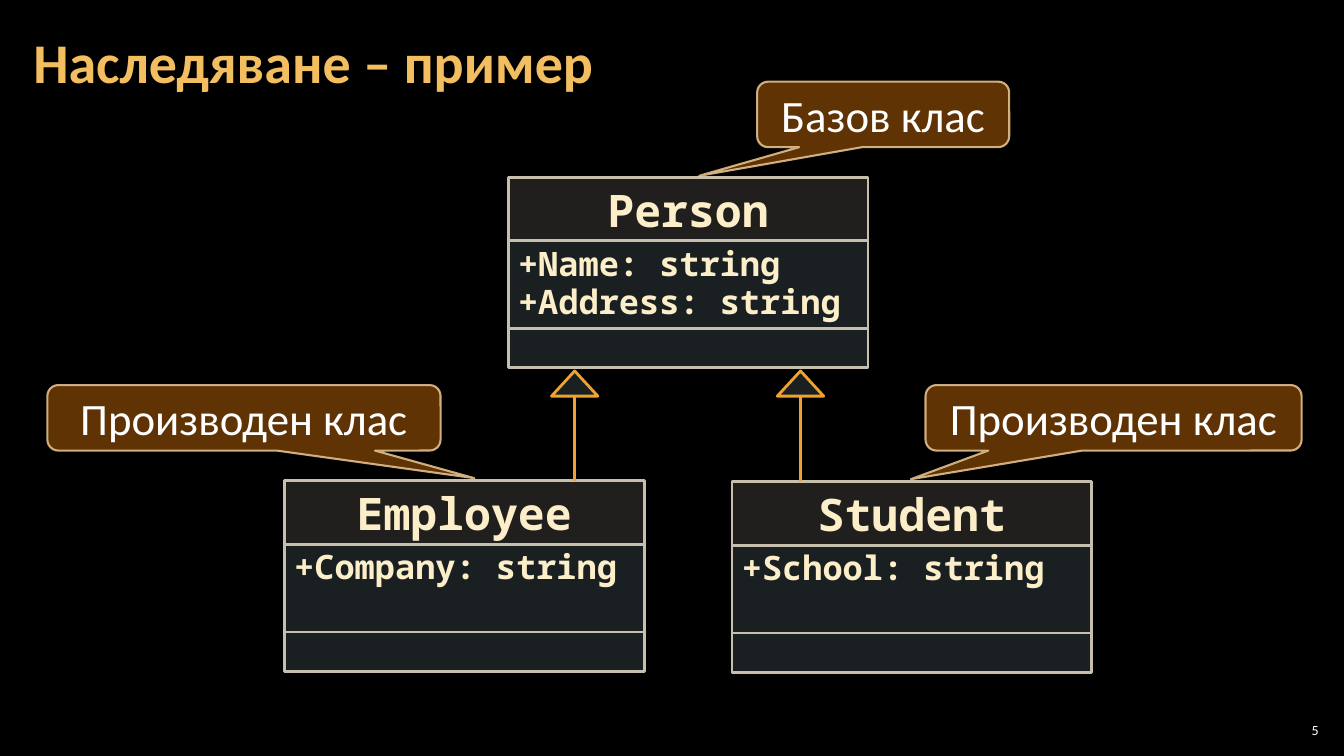
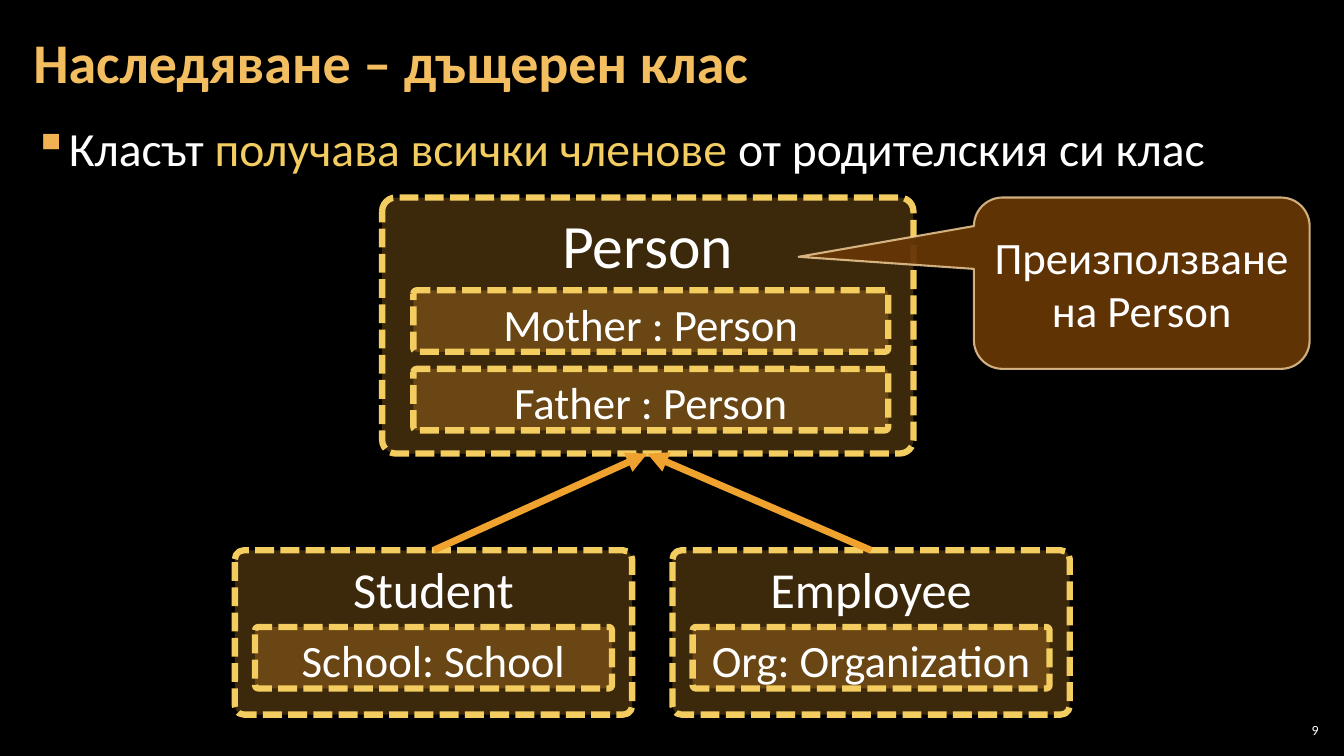
import pptx
import pptx.util
import pptx.dml.color
import pptx.enum.dml
import pptx.enum.shapes
import pptx.enum.text
import pptx.oxml.ns
from lxml import etree

Inches = pptx.util.Inches
Pt = pptx.util.Pt
SHAPES = pptx.enum.shapes.MSO_SHAPE
ALIGN = pptx.enum.text.PP_ALIGN
ANCHOR = pptx.enum.text.MSO_ANCHOR
qn = pptx.oxml.ns.qn

COLORS = {
    "background": "000000",
    "title": "F3BE60",
    "text": "FFFFFF",
    "highlight": "F3CD60",
    "bullet": "F2B254",
    "class_text": "FBEEC9",
    "class_line": "C7BFAC",
    "class_header": "D9D5C7",
    "class_body": "B5DBE5",
    "accent": "F0A22E",
    "callout": "663606",
    "callout_line": "F8D49E",
}
BODY_FONT = "Calibri"
CODE_FONT = "Noto Sans Mono"
CLASS_WIDTH = 3.57
BLOCK_RADIUS = 0.054


def rgb(name):
    return pptx.dml.color.RGBColor.from_string(COLORS[name])


def set_opacity(parent, percent):
    color = parent.find(qn("a:solidFill")).find(qn("a:srgbClr"))
    etree.SubElement(color, qn("a:alpha")).set("val", str(percent * 1000))


def write_text(shape, paragraphs, size=32, color="text", font=BODY_FONT, bold=False,
               align=ALIGN.CENTER, anchor=ANCHOR.MIDDLE, spacing=None, insets=(0.1, 0.05)):
    frame = shape.text_frame
    frame.word_wrap = True
    frame.vertical_anchor = anchor
    frame.margin_left = frame.margin_right = Inches(insets[0])
    frame.margin_top = frame.margin_bottom = Inches(insets[1])
    for index, content in enumerate(paragraphs):
        paragraph = frame.add_paragraph() if index else frame.paragraphs[0]
        paragraph.alignment = align
        if spacing:
            paragraph.line_spacing = spacing
        runs = [(content, color)] if isinstance(content, str) else content
        for text, run_color in runs:
            run = paragraph.add_run()
            run.text = text
            run.font.size = Pt(size)
            run.font.name = font
            run.font.bold = bold
            run.font.color.rgb = rgb(run_color)


def style_shape(shape, fill, opacity, line, width):
    shape.shadow.inherit = False
    shape.fill.solid()
    shape.fill.fore_color.rgb = rgb(fill)
    set_opacity(shape.element.spPr, opacity)
    shape.line.color.rgb = rgb(line)
    shape.line.width = Pt(width)


def add_box(slide, kind, left, top, width, height, fill, opacity, line, line_width):
    shape = slide.shapes.add_shape(kind, Inches(left), Inches(top), Inches(width), Inches(height))
    style_shape(shape, fill, opacity, line, line_width)
    return shape


def add_label(slide, left, top, width, height, paragraphs, **text_format):
    label = slide.shapes.add_textbox(Inches(left), Inches(top), Inches(width), Inches(height))
    write_text(label, paragraphs, **text_format)
    return label


def add_slide(presentation, title, number):
    slide = presentation.slides.add_slide(presentation.slide_layouts[6])
    add_label(slide, 0.21, 0.04, 12.91, 1.21, [title], size=40, color="title", bold=True,
              align=ALIGN.LEFT, spacing=0.9, insets=(0.12, 0.04))
    add_label(slide, 12.65, 7.14, 0.47, 0.21, [number], size=10, align=ALIGN.RIGHT,
              insets=(0.04, 0.04))
    return slide


def add_bullet(slide, runs):
    label = add_label(slide, 0.21, 1.08, 12.91, 0.85, [runs], size=34, align=ALIGN.LEFT,
                      anchor=ANCHOR.TOP, spacing=1.1, insets=(0.12, 0.04))
    paragraph = label.text_frame.paragraphs[0]
    paragraph.space_before = paragraph.space_after = Pt(6)
    properties = paragraph.runs[0].font._element.getparent().getparent().pPr
    properties.set("marL", str(Inches(0.33)))
    properties.set("indent", str(-Inches(0.33)))
    color = etree.SubElement(properties, qn("a:buClr"))
    etree.SubElement(color, qn("a:srgbClr")).set("val", COLORS["bullet"])
    etree.SubElement(properties, qn("a:buChar")).set("char", "▪")


def add_class(slide, left, top, name, attributes):
    compartments = []
    for height, fill in ((0.63, "class_header"), (0.87, "class_body"), (0.39, "class_body")):
        compartments.append(add_box(slide, SHAPES.RECTANGLE, left, top, CLASS_WIDTH, height,
                                    fill, 15, "class_line", 2))
        top += height
    write_text(compartments[0], [name], color="class_text", font=CODE_FONT, bold=True)
    write_text(compartments[1], attributes, size=24, color="class_text", font=CODE_FONT,
               bold=True, align=ALIGN.LEFT, anchor=ANCHOR.TOP, spacing=0.95)


def add_line(slide, start, end, width, arrow=False):
    connector = slide.shapes.add_connector(pptx.enum.shapes.MSO_CONNECTOR.STRAIGHT,
                                           *(Inches(value) for value in start + end))
    connector.line.color.rgb = rgb("accent")
    connector.line.width = Pt(width)
    properties = connector.element.spPr
    if arrow:
        etree.SubElement(properties.find(qn("a:ln")), qn("a:tailEnd")).set("type", "triangle")
    etree.SubElement(properties, qn("a:effectLst"))


def add_inheritance(slide, x, bottom, tip=3.68):
    base = tip + 0.25
    add_line(slide, (x, base), (x, bottom), 2)
    corners = [(x - 0.23, base), (x + 0.23, base), (x, tip)]
    points = [(Inches(corner_x), Inches(corner_y)) for corner_x, corner_y in corners]
    builder = slide.shapes.build_freeform(*points[0])
    builder.add_line_segments(points[1:], close=True)
    style_shape(builder.convert_to_shape(), "class_body", 15, "accent", 2)


def add_callout(slide, left, top, width, height, text, pointer):
    callout = add_box(slide, SHAPES.ROUNDED_RECTANGULAR_CALLOUT, left, top, width, height,
                      "callout", 95, "callout_line", 1.5)
    set_opacity(callout.element.spPr.find(qn("a:ln")), 80)
    callout.adjustments[0], callout.adjustments[1] = pointer
    write_text(callout, [text])


def add_block(slide, left, top, width, height, text, size=32):
    block = add_box(slide, SHAPES.ROUNDED_RECTANGLE, left, top, width, height,
                    "accent", 25, "highlight", 4.5)
    block.line.dash_style = pptx.enum.dml.MSO_LINE.SQUARE_DOT
    block.adjustments[0] = BLOCK_RADIUS
    write_text(block, [text], size=size, anchor=ANCHOR.TOP)


def build_example(presentation):
    slide = add_slide(presentation, "Наследяване – пример", "5")
    add_class(slide, 5.04, 1.76, "Person", ["+Name: string", "+Address: string"])
    add_class(slide, 2.82, 4.77, "Employee", ["+Company: string"])
    add_class(slide, 7.26, 4.78, "Student", ["+School: string"])
    for x in (5.7, 7.94):
        add_inheritance(slide, x, 4.77)
    add_callout(slide, 0.47, 3.82, 3.9, 0.65, "Производен клас", (0.586, 0.921))
    add_callout(slide, 9.18, 3.82, 3.73, 0.65, "Производен клас", (-0.539, 0.937))
    add_callout(slide, 7.51, 0.81, 2.5, 0.65, "Базов клас", (-0.73, 0.937))


def build_child_class(presentation):
    slide = add_slide(presentation, "Наследяване – дъщерен клас", "9")
    add_bullet(slide, [("Класът ", "text"), ("получава всички членове ", "highlight"),
                       ("от родителския си клас", "text")])
    add_block(slide, 3.79, 1.96, 5.27, 2.54, "Person", size=44)
    for top, member in ((2.88, "Mother : Person"), (3.66, "Father : Person")):
        add_block(slide, 4.1, top, 4.71, 0.61, member)
    children = ((2.33, "Student", "School: School"), (6.67, "Employee", "Org: Organization"))
    for left, name, member in children:
        add_block(slide, left, 5.46, 3.94, 1.63, name, size=36)
        add_block(slide, left + 0.2, 6.22, 3.54, 0.61, member)
        add_line(slide, (left + 1.97, 5.46), (6.42, 4.5), 5, arrow=True)
    add_callout(slide, 9.66, 1.96, 3.33, 1.7, "Преизползване на Person", (-1.022, -0.154))


def main():
    presentation = pptx.Presentation()
    presentation.slide_width = Inches(13.33)
    presentation.slide_height = Inches(7.5)
    background = presentation.slide_master.background.fill
    background.solid()
    background.fore_color.rgb = rgb("background")
    build_example(presentation)
    build_child_class(presentation)
    presentation.save("out.pptx")


main()
